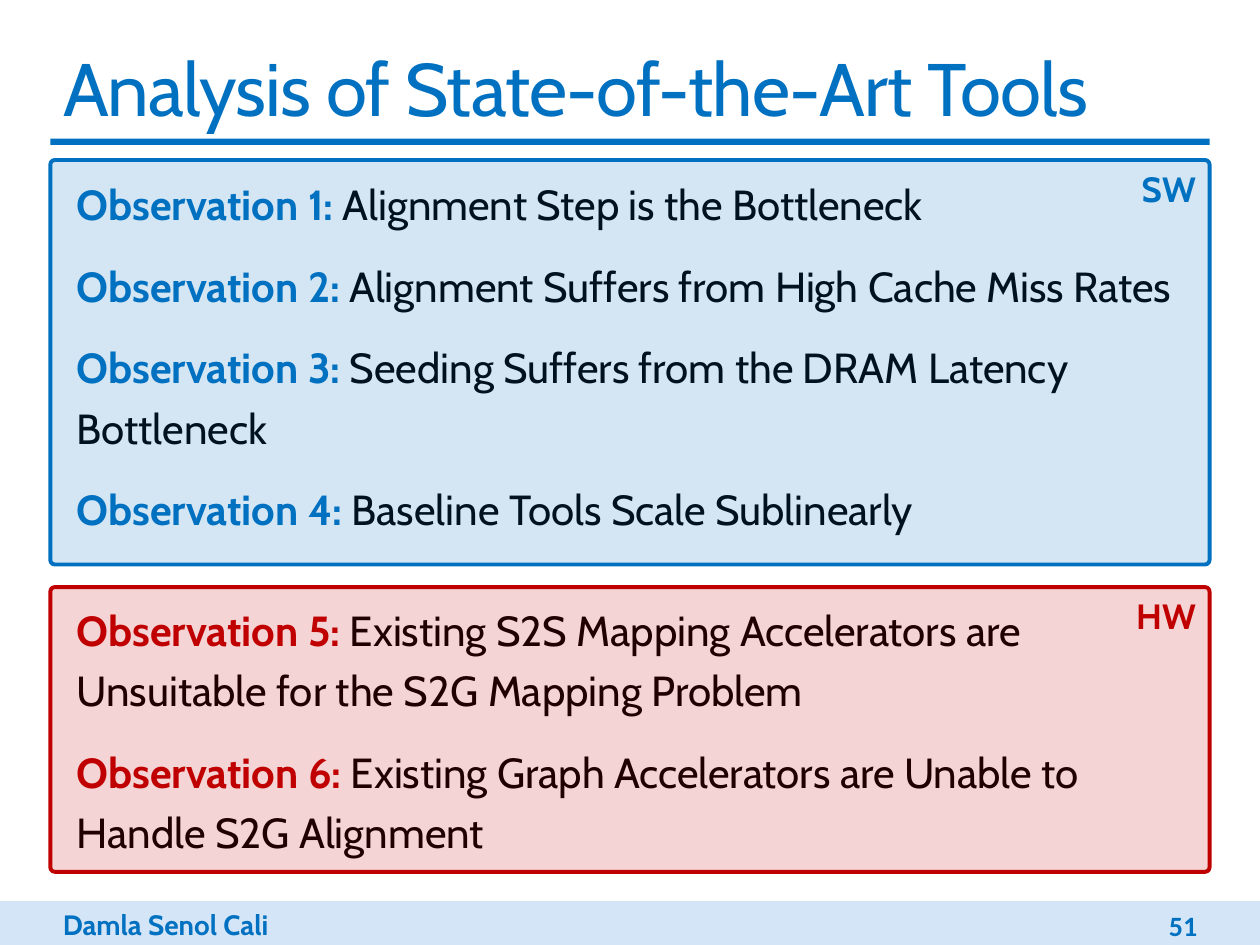
from lxml.etree import SubElement
from pptx import Presentation
from pptx.dml.color import RGBColor
from pptx.enum.shapes import MSO_SHAPE
from pptx.enum.text import MSO_ANCHOR, MSO_AUTO_SIZE, PP_ALIGN
from pptx.oxml.ns import qn
from pptx.util import Inches, Pt

COLORS = {"blue": "0070C0", "red": "C00000", "black": "000000", "band": "D4E5F7"}
LEFT, WIDTH = 0.4, 9.2

SOFTWARE = [
    "Alignment Step is the Bottleneck",
    "Alignment Suffers from High Cache Miss Rates",
    "Seeding Suffers from the DRAM Latency Bottleneck",
    "Baseline Tools Scale Sublinearly",
]
HARDWARE = [
    "Existing S2S Mapping Accelerators are Unsuitable for the S2G Mapping Problem",
    "Existing Graph Accelerators are Unable to Handle S2G Alignment",
]


def rgb(name):
    return RGBColor.from_string(COLORS[name])


class SlideBuilder:
    font = "Cabin"

    def __init__(self, slide):
        self.slide = slide

    def add_run(self, paragraph, text, size, color, bold=False, font=None):
        run = paragraph.add_run()
        run.text = text
        run.font.color.rgb = rgb(color)
        styles = {"name": font or self.font, "size": Pt(size), "bold": bold}
        for attribute, value in styles.items():
            setattr(run.font, attribute, value)
        return run

    def format_frame(self, frame, **changes):
        styles = {"word_wrap": True, "auto_size": MSO_AUTO_SIZE.NONE,
                  "vertical_anchor": MSO_ANCHOR.TOP, **changes}
        for attribute, value in styles.items():
            setattr(frame, attribute, value)

    def title(self, text, left, top, width, height):
        title = self.slide.shapes.title
        places = {"left": left, "top": top, "width": width, "height": height}
        for attribute, value in places.items():
            setattr(title, attribute, Inches(value))
        self.format_frame(title.text_frame, vertical_anchor=MSO_ANCHOR.MIDDLE)
        paragraph = title.text_frame.paragraphs[0]
        paragraph.alignment = PP_ALIGN.LEFT
        run = self.add_run(paragraph, text, 42.5, "blue")
        run.font._element.set("spc", "-50")

    def bar(self, color, *box):
        bar = self.slide.shapes.add_shape(MSO_SHAPE.RECTANGLE, *map(Inches, box))
        bar.shadow.inherit = False
        bar.fill.solid()
        bar.fill.fore_color.rgb = rgb(color)
        bar.line.fill.background()

    def text_box(self, *box, **frame_styles):
        frame = self.slide.shapes.add_textbox(*map(Inches, box)).text_frame
        self.format_frame(frame, **frame_styles)
        return frame

    def label(self, text, *box, align=PP_ALIGN.LEFT, font=None, **frame_styles):
        paragraph = self.text_box(*box, **frame_styles).paragraphs[0]
        paragraph.alignment = align
        self.add_run(paragraph, text, 16, "blue", True, font)

    def observations(self, groups, *box):
        frame = self.text_box(*box, margin_left=Inches(0.21), margin_right=0)
        number = 0
        for color, findings in groups:
            for position, finding in enumerate(findings):
                number += 1
                paragraph = frame.paragraphs[0] if number == 1 else frame.add_paragraph()
                paragraph.line_spacing = 1.2
                paragraph.space_after = Pt(12)
                # Each later group starts further down, inside its own panel
                if position == 0 and number > 1:
                    paragraph.space_before = Pt(22.5)
                self.add_run(paragraph, f"Observation {number}: ", 24, color, True)
                self.add_run(paragraph, finding, 24, "black")

    def panel(self, text, color, corner, *box):
        panel = self.slide.shapes.add_shape(MSO_SHAPE.ROUNDED_RECTANGLE, *map(Inches, box))
        panel.adjustments[0] = corner
        panel.shadow.inherit = False
        panel.fill.solid()
        panel.fill.fore_color.rgb = rgb(color)
        tint = panel.fill._xPr.find(qn("a:solidFill"))[0]
        SubElement(tint, qn("a:alpha"), val="17000")
        panel.line.color.rgb = rgb(color)
        panel.line.width = Pt(2.25)
        self.format_frame(panel.text_frame)
        paragraph = panel.text_frame.paragraphs[0]
        paragraph.alignment = PP_ALIGN.RIGHT
        self.add_run(paragraph, text, 20, color, True)


def main():
    deck = Presentation()
    deck.slide_width, deck.slide_height = Inches(10), Inches(7.5)
    builder = SlideBuilder(deck.slides.add_slide(deck.slide_layouts[5]))

    # Title and rule
    builder.title("Analysis of State-of-the-Art Tools", LEFT, 0.28, WIDTH, 0.82)
    builder.bar("blue", LEFT, 1.1, WIDTH, 0.05)

    # Footer
    builder.bar("band", 0, 7.15, 10, 0.35)
    builder.label("Damla Senol Cali", LEFT, 7.15, 2.5, 0.37)
    builder.label("51", 8.22, 7.19, 1.38, 0.3, align=PP_ALIGN.RIGHT, font="Calibri",
                  vertical_anchor=MSO_ANCHOR.MIDDLE)

    # Observations, under the translucent panels
    builder.observations([("blue", SOFTWARE), ("red", HARDWARE)], LEFT, 1.29, WIDTH, 5.63)
    builder.panel("SW", "blue", 0.011, LEFT, 1.27, WIDTH, 3.21)
    builder.panel("HW", "red", 0.016, LEFT, 4.66, WIDTH, 2.26)

    deck.save("out.pptx")


if __name__ == "__main__":
    main()
